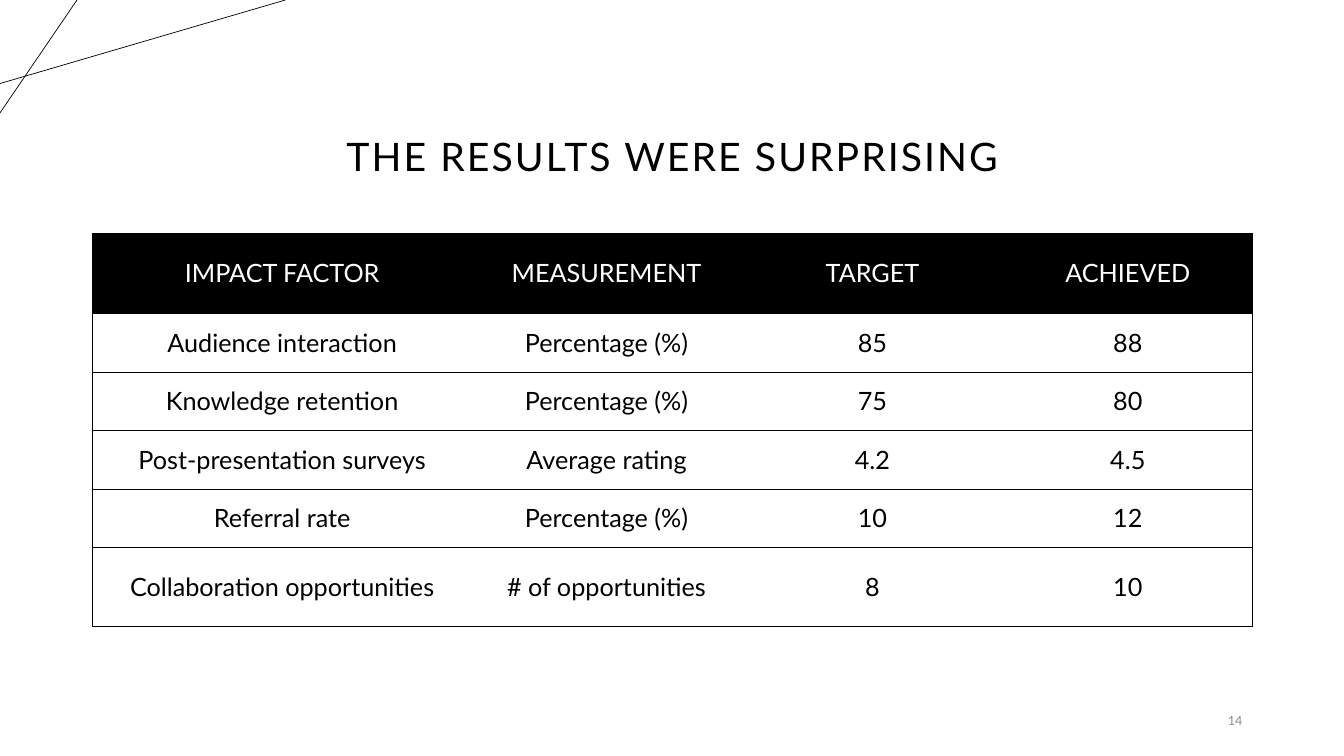
from lxml.etree import SubElement
from pptx import Presentation
from pptx.dml.color import RGBColor
from pptx.enum.shapes import MSO_CONNECTOR
from pptx.enum.text import MSO_ANCHOR, PP_ALIGN
from pptx.oxml.ns import qn
from pptx.util import Inches, Pt

BLACK = RGBColor(0x00, 0x00, 0x00)
WHITE = RGBColor(0xFF, 0xFF, 0xFF)
GRAY = RGBColor(0x8C, 0x8C, 0x8C)
FONT = "Lato"
WIDE, HIGH = 13.33, 7.5
LEFT, SPAN = 0.92, 11.5
COLS = [3.76, 2.68, 2.6, 2.47]
ROWS = [0.8] + [0.58] * 4 + [0.78]
DATA = [
    ["IMPACT FACTOR", "MEASUREMENT", "TARGET", "ACHIEVED"],
    ["Audience interaction", "Percentage (%)", "85", "88"],
    ["Knowledge retention", "Percentage (%)", "75", "80"],
    ["Post-presentation surveys", "Average rating", "4.2", "4.5"],
    ["Referral rate", "Percentage (%)", "10", "12"],
    ["Collaboration opportunities", "# of opportunities", "8", "10"],
]


def write(frame, text, size, color, align):
    """Fill a text frame with one formatted paragraph and return its run."""
    frame.text = text
    line = frame.paragraphs[0]
    line.alignment = align
    run = line.runs[0]
    run.font.name = FONT
    run.font.size = Pt(size)
    run.font.color.rgb = color
    return run


def add_rays(slide, left, top, width, height):
    """Draw two crossing lines in the corner box."""
    ends = [(0, 0.74, 1, 0), (0.27, 0, 0, 1)]
    for x1, y1, x2, y2 in ends:
        ray = slide.shapes.add_connector(
            MSO_CONNECTOR.STRAIGHT,
            Inches(left + x1 * width), Inches(top + y1 * height),
            Inches(left + x2 * width), Inches(top + y2 * height))
        ray.line.color.rgb = BLACK
        ray.line.width = Pt(0.5)
        SubElement(ray.element.spPr, qn("a:effectLst"))


def add_title(slide, left, top, width, height):
    """Place the centred, letter-spaced title."""
    title = slide.shapes.title
    title.left, title.top = Inches(left), Inches(top)
    title.width, title.height = Inches(width), Inches(height)
    frame = title.text_frame
    frame.word_wrap = True
    frame.vertical_anchor = MSO_ANCHOR.BOTTOM
    run = write(frame, "THE RESULTS WERE SURPRISING", 28, BLACK, PP_ALIGN.CENTER)
    run.font._element.set("spc", "150")
    frame.paragraphs[0].line_spacing = 0.9


def set_edge(cell, side, drawn):
    """Draw or clear one border of a cell."""
    edge = SubElement(cell._tc.get_or_add_tcPr(), qn(f"a:ln{side}"), w=str(Pt(0.5)))
    if drawn:
        fill = SubElement(edge, qn("a:solidFill"))
        SubElement(fill, qn("a:srgbClr"), val=str(BLACK))
    else:
        SubElement(edge, qn("a:noFill"))


def add_grid(slide, left, top, width, height):
    """Build the results table with row rules and an outer frame."""
    grid = slide.shapes.add_table(
        len(ROWS), len(COLS), Inches(left), Inches(top),
        Inches(width), Inches(height)).table
    grid.first_row = grid.horz_banding = False
    for col, share in zip(grid.columns, COLS):
        col.width = Inches(width * share / sum(COLS))
    for row, share in zip(grid.rows, ROWS):
        row.height = Inches(height * share / sum(ROWS))
    for r, texts in enumerate(DATA):
        for c, text in enumerate(texts):
            cell = grid.cell(r, c)
            cell.vertical_anchor = MSO_ANCHOR.MIDDLE
            write(cell.text_frame, text, 18, BLACK if r else WHITE, PP_ALIGN.CENTER)
            set_edge(cell, "L", c == 0)
            set_edge(cell, "R", c == len(COLS) - 1)
            set_edge(cell, "T", True)
            set_edge(cell, "B", True)
            if r:
                cell.fill.background()
            else:
                cell.fill.solid()
                cell.fill.fore_color.rgb = BLACK


def add_number(slide, left, top, width, height):
    """Place the page number at the lower right."""
    box = slide.shapes.add_textbox(
        Inches(left), Inches(top), Inches(width), Inches(height))
    box.text_frame.word_wrap = True
    box.text_frame.vertical_anchor = MSO_ANCHOR.MIDDLE
    write(box.text_frame, "14", 9, GRAY, PP_ALIGN.RIGHT)


def main():
    """Build and save the slide."""
    deck = Presentation()
    deck.slide_width, deck.slide_height = Inches(WIDE), Inches(HIGH)
    slide = deck.slides.add_slide(deck.slide_layouts[5])
    add_rays(slide, 0, 0, 2.83, 1.12)
    add_title(slide, LEFT, 0.39, SPAN, 1.45)
    add_grid(slide, LEFT, 2.31, SPAN, sum(ROWS))
    add_number(slide, 11.34, 6.95, 1.08, 0.4)
    deck.save("out.pptx")


if __name__ == "__main__":
    main()
